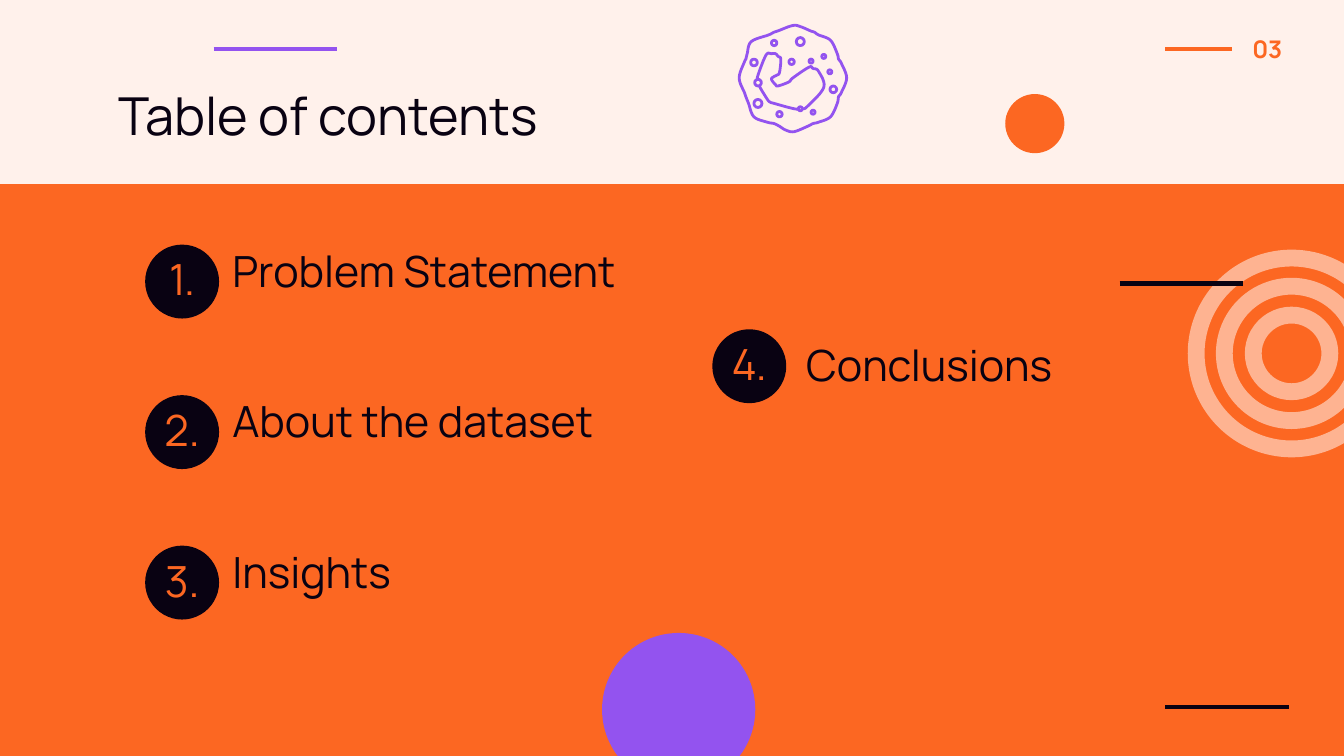
from pptx import Presentation
from pptx.dml.color import RGBColor
from pptx.enum.shapes import MSO_CONNECTOR, MSO_SHAPE
from pptx.enum.text import MSO_ANCHOR, MSO_AUTO_SIZE, PP_ALIGN
from pptx.oxml.ns import qn
from pptx.util import Inches, Pt
from lxml import etree

RECTANGLE, OVAL = MSO_SHAPE.RECTANGLE, MSO_SHAPE.OVAL
STRAIGHT = MSO_CONNECTOR.STRAIGHT
LEFT, CENTER = PP_ALIGN.LEFT, PP_ALIGN.CENTER
MIDDLE, NO_FIT = MSO_ANCHOR.MIDDLE, MSO_AUTO_SIZE.NONE
TITLE_ONLY = 5

# The grid has 100 columns and 56.25 rows of square cells
COLUMNS, ROWS = 100, 56.25
CREAM, ORANGE, PEACH = "FFF1EB", "FC6722", "FEB391"
PURPLE, INK = "9353EF", "090212"


def color(value):
    return RGBColor.from_string(value)


def smooth_outline(points, steps=6):
    """Closed Catmull-Rom curve through the points."""
    curve = []
    for i, (p1, p2) in enumerate(zip(points, points[1:] + points[:1])):
        p0, p3 = points[i - 1], points[(i + 2) % len(points)]
        for step in range(steps):
            t = step / steps
            curve.append(tuple(
                b + t / 2 * (c - a + t * (2 * a - 5 * b + 4 * c - d
                                          + t * (3 * (b - c) + d - a)))
                for a, b, c, d in zip(p0, p1, p2, p3)))
    return curve


class SlideBuilder:
    font = "Manrope"

    def __init__(self, deck):
        self.page = deck.slides.add_slide(deck.slide_layouts[TITLE_ONLY])
        self.shapes = self.page.shapes
        self.column = deck.slide_width / COLUMNS
        self.row = deck.slide_height / ROWS
        self.page.background.fill.solid()
        self.page.background.fill.fore_color.rgb = color(CREAM)

    def place(self, x, y):
        return round(x * self.column), round(y * self.row)

    def paint(self, shape, fill=None, line=None, weight=0):
        shape.shadow.inherit = False
        if fill:
            shape.fill.solid()
            shape.fill.fore_color.rgb = color(fill)
        else:
            shape.fill.background()
        if line:
            shape.line.color.rgb = color(line)
            shape.line.width = Pt(weight)
        else:
            shape.line.fill.background()

    def rectangle(self, x, y, width, height, fill):
        shape = self.shapes.add_shape(
            RECTANGLE, *self.place(x, y), *self.place(width, height))
        self.paint(shape, fill)

    def circle(self, center_x, center_y, size, fill=None, line=None, weight=0):
        corner = self.place(center_x - size / 2, center_y - size / 2)
        shape = self.shapes.add_shape(OVAL, *corner, *self.place(size, size))
        self.paint(shape, fill, line, weight)

    def rule(self, x, y, length, stroke):
        line = self.shapes.add_connector(
            STRAIGHT, *self.place(x, y), *self.place(x + length, y))
        line.line.color.rgb = color(stroke)
        line.line.width = Pt(2.25)
        etree.SubElement(line._element.spPr, qn("a:effectLst"))

    def outline(self, points, fill, line, weight):
        curve = [self.place(x, y) for x, y in smooth_outline(points)]
        builder = self.shapes.build_freeform(*curve[0])
        builder.add_line_segments(curve[1:], close=True)
        self.paint(builder.convert_to_shape(), fill, line, weight)

    def text(self, words, x, y, width, height, size, ink,
             align=LEFT, bold=False, box=None):
        box = box or self.shapes.add_textbox(0, 0, 0, 0)
        box.left, box.top = self.place(x, y)
        box.width, box.height = self.place(width, height)
        frame = box.text_frame
        frame.word_wrap, frame.auto_size = True, NO_FIT
        frame.vertical_anchor = MIDDLE
        frame.margin_left = frame.margin_right = Inches(0.1)
        frame.margin_top = frame.margin_bottom = Inches(0.1)
        para = frame.paragraphs[0]
        para.alignment = align
        span = para.add_run()
        span.text = words
        span.font.name, span.font.size = self.font, Pt(size)
        span.font.bold = bold
        span.font.color.rgb = color(ink)

    def title(self, words, *area):
        self.text(words, *area, 28, INK, box=self.shapes.title)

    def entry(self, number, words, x, y, label_x, label_y):
        self.circle(x + 2.75, y + 2.75, 5.5, INK)
        self.text(f"{number}.", x, y - 0.1, 5.5, 5.3, 23, ORANGE, CENTER)
        self.text(words, x + label_x, y + label_y, 32.1, 3.8, 23, INK)


# Cell drawing: membrane, nucleus, and granules as (x, y, size)
MEMBRANE = [
    (59, 1.9), (57.9, 2.3), (57.6, 2.4), (57.2, 2.6), (55.9, 3.1), (55.6, 4),
    (55.5, 4.4), (55.4, 4.6), (55, 5.8), (55.4, 6.9), (55.5, 7.2), (55.7, 7.7),
    (56.1, 8.7), (57.1, 9.1), (57.6, 9.2), (58, 9.4), (58.5, 9.7), (59.1, 9.8),
    (60.1, 9.4), (60.5, 9.2), (60.9, 9.1), (61.8, 8.7), (62.3, 7.7),
    (62.4, 7.2), (62.6, 6.9), (63, 5.8), (62.6, 4.7), (62.4, 4.4), (62.3, 4),
    (61.8, 3), (60.9, 2.6), (60.6, 2.4), (60.3, 2.3), (59.6, 2)]
NUCLEUS = [
    (57.4, 4), (57, 4.1), (56.4, 5.6), (56.4, 5.9), (56.5, 6.4), (57.1, 7.4),
    (57.3, 7.6), (57.6, 7.7), (59.1, 8.1), (59.7, 8.1), (60.1, 7.9),
    (61.3, 6.5), (60.9, 5.3), (60.5, 5.1), (60.2, 5), (59, 5.8), (58.7, 6.1),
    (57.9, 6.4), (57.7, 6.3), (57.4, 5.9), (57.6, 5.7), (57.8, 5.6), (58, 5.4),
    (58.1, 4.4), (57.9, 4.2), (57.7, 4)]
GRANULES = [
    (56.4, 7.7, 0.6), (58, 8.5, 0.4), (56.4, 6.15, 0.5), (58.9, 4.6, 0.4),
    (57.6, 3.2, 0.4), (56.1, 4.65, 0.5), (62, 6.65, 0.5), (59.55, 8.1, 0.3),
    (60.5, 8.35, 0.3), (60.35, 4.55, 0.3), (61.3, 4.2, 0.3), (61.75, 5.35, 0.3),
    (59.55, 3.1, 0.6)]


def main():
    deck = Presentation()
    deck.slide_width, deck.slide_height = Inches(10), Inches(5.625)
    slide = SlideBuilder(deck)

    # Lower panel with its decorations
    slide.rectangle(-0.7, 13.7, 101.2, 43.2, ORANGE)
    slide.rule(15.9, 3.65, 9.2, PURPLE)
    slide.rule(86.7, 3.65, 5, ORANGE)
    slide.rule(86.7, 52.6, 9.2, INK)
    for size in (14.2, 10, 5.7):
        slide.circle(96.1, 26.3, size, line=PEACH, weight=9)
    slide.circle(50.5, 52.8, 11.4, PURPLE)

    # Contents: three entries down the left, one on the right
    for i, words in enumerate(
            ("Problem Statement", "About the dataset", "Insights")):
        slide.entry(i + 1, words, 10.8, 18.2 + 11.2 * i, 5.5, 0)
    slide.entry(4, "Conclusions", 53, 24.5, 6, 0.7)

    # Header
    slide.title("Table of contents", 7.8, 5.9, 42.2, 5.2)
    slide.circle(77, 9.2, 4.4, ORANGE)
    slide.rule(83.3, 21.1, 9.2, INK)
    for points in (MEMBRANE, NUCLEUS):
        slide.outline(points, CREAM, PURPLE, 1.5)
    for x, y, size in GRANULES:
        slide.circle(x, y, size, CREAM, PURPLE, 1.5)
    slide.text("03", 92.2, 2, 5, 3.3, 13, ORANGE, bold=True)

    deck.save("out.pptx")


if __name__ == "__main__":
    main()
